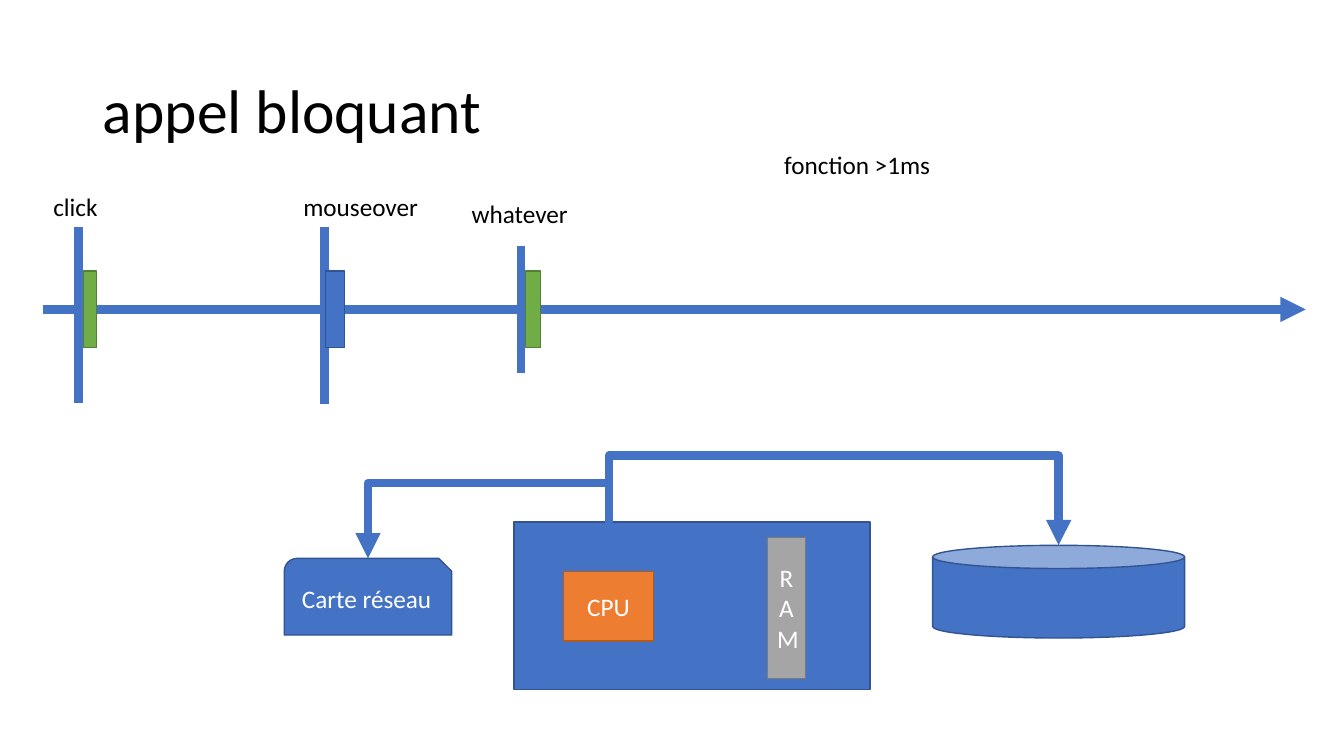
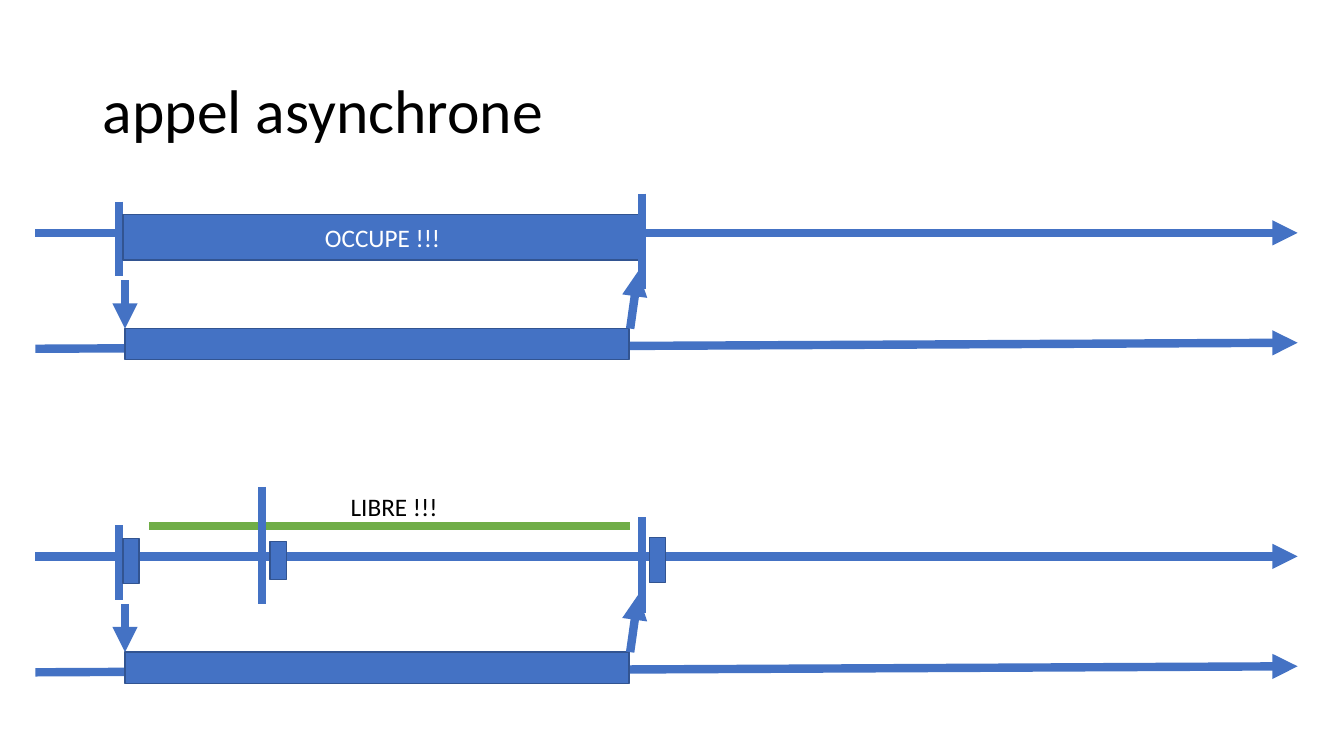
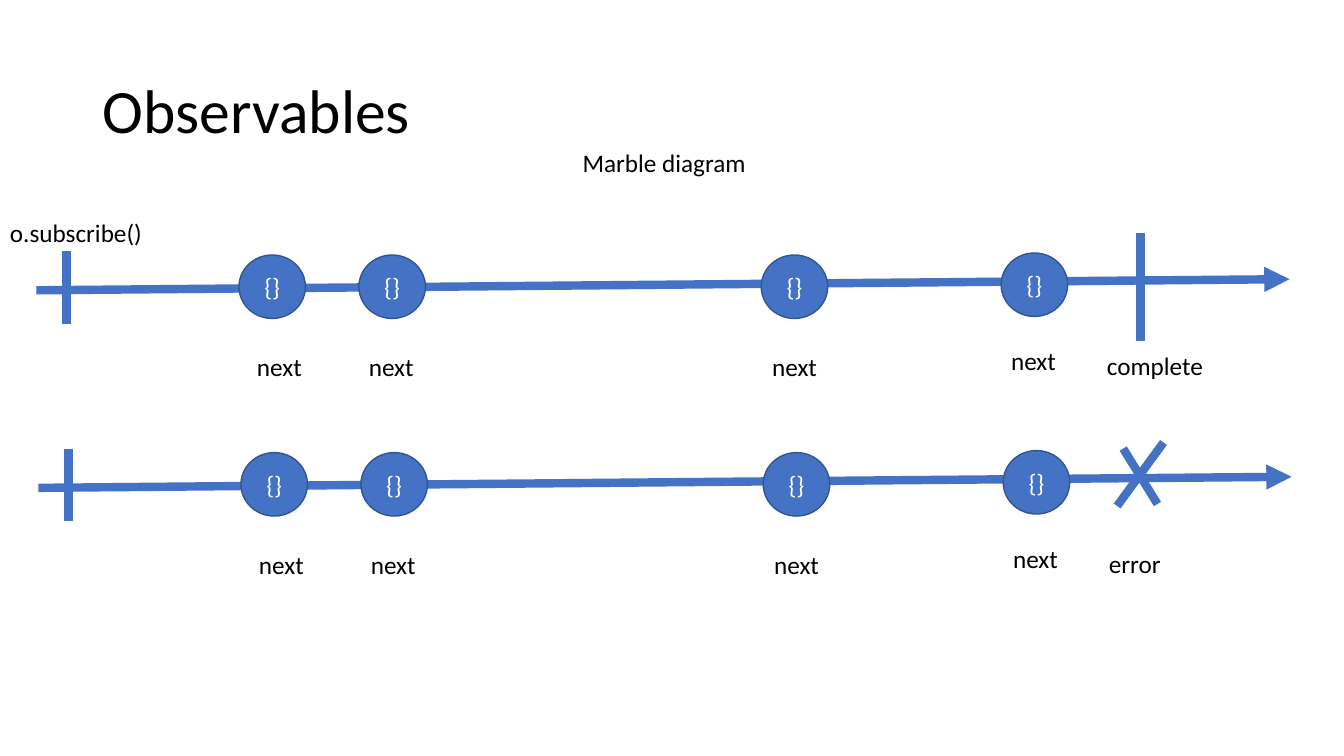
from dataclasses import dataclass

from lxml.etree import SubElement
from pptx import Presentation
from pptx.dml.color import RGBColor
from pptx.enum.shapes import MSO_CONNECTOR, MSO_SHAPE
from pptx.enum.text import MSO_ANCHOR, MSO_AUTO_SIZE, PP_ALIGN
from pptx.oxml.ns import qn
from pptx.util import Pt

PX = 9144  # 100 px to the inch


@dataclass(frozen=True)
class Theme:
    font: str = "Calibri"
    title_size: int = 44
    text_size: int = 18
    black: str = "000000"
    white: str = "FFFFFF"
    blue: str = "4472C4"
    green: str = "70AD47"
    orange: str = "ED7D31"
    grey: str = "A5A5A5"
    edge_width: int = 1
    line_width: int = 6


THEME = Theme()
EDGES = {THEME.blue: "325491", THEME.green: "538035",
         THEME.orange: "AF5C24", THEME.grey: "7A7A7A"}


def box(slide, at, text="", kind="label", fill=THEME.blue, size=THEME.text_size):
    """Place a title, a free label or a filled preset shape, with its text."""
    bounds = [n * PX for n in at]
    if kind == "title":
        part = slide.shapes.title
        part.left, part.top, part.width, part.height = bounds
    elif kind == "label":
        part = slide.shapes.add_textbox(*bounds)
    else:
        part = slide.shapes.add_shape(kind, *bounds)
        part.shadow.inherit = False
        part.fill.solid()
        part.fill.fore_color.rgb = RGBColor.from_string(fill)
        part.line.color.rgb = RGBColor.from_string(EDGES[fill])
        part.line.width = Pt(THEME.edge_width)
    if not text:
        return part

    plain = kind in ("title", "label")
    frame = part.text_frame
    frame.text = text
    frame.word_wrap = kind != "label"
    if kind == "label":
        frame.auto_size = MSO_AUTO_SIZE.SHAPE_TO_FIT_TEXT
    else:
        frame.vertical_anchor = MSO_ANCHOR.MIDDLE
    paragraph = frame.paragraphs[0]
    paragraph.alignment = PP_ALIGN.LEFT if plain else PP_ALIGN.CENTER
    if kind == "title":
        paragraph.line_spacing = 0.9
    font = paragraph.runs[0].font
    font.name, font.size = THEME.font, Pt(size)
    font.color.rgb = RGBColor.from_string(THEME.black if plain else THEME.white)
    return part


def line(slide, x1, y1, x2, y2, color=THEME.blue, ends=(), kind=MSO_CONNECTOR.STRAIGHT):
    """Draw a thick line; ends lists the XML names of the ends with an arrowhead."""
    connector = slide.shapes.add_connector(kind, x1 * PX, y1 * PX, x2 * PX, y2 * PX)
    connector.line.color.rgb = RGBColor.from_string(color)
    connector.line.width = Pt(THEME.line_width)
    properties = connector.element.spPr
    for end in ends:
        SubElement(properties.find(qn("a:ln")), qn(f"a:{end}"), type="triangle")
    SubElement(properties, qn("a:effectLst"))
    return connector


ARROW = ("tailEnd",)
BOTH_ARROWS = ("headEnd", "tailEnd")

deck = Presentation()
deck.slide_width, deck.slide_height = 1333 * PX, 750 * PX
slides = []
for heading in ("appel bloquant", "appel asynchrone", "Observables"):
    slide = deck.slides.add_slide(deck.slide_layouts[5])
    box(slide, (92, 40, 1150, 145), heading, kind="title", size=THEME.title_size)
    slides.append(slide)
blocking, asynchronous, observables = slides

# Blocking call: events on a timeline
line(blocking, 43, 307, 1295, 307, ends=ARROW)
for event, label_at, x, top, bottom, task_x, task_width, color in (
    ("click", (43, 185, 65, 40), 78, 225, 400, 83, 13, THEME.green),
    ("whatever", (458, 192, 117, 40), 517, 244, 370, 521, 15, THEME.green),
    ("mouseover", (291, 185, 135, 40), 322, 225, 401, 323, 19, THEME.blue),
):
    line(blocking, x, top, x, bottom)
    box(blocking, label_at, event)
    box(blocking, (task_x, 269, task_width, 76), kind=MSO_SHAPE.RECTANGLE, fill=color)
box(blocking, (768, 143, 167, 40), "fonction >1ms")

# Blocking call: hardware
box(blocking, (510, 518, 353, 166), kind=MSO_SHAPE.RECTANGLE)
cpu = box(blocking, (559, 567, 89, 69), "CPU", kind=MSO_SHAPE.RECTANGLE, fill=THEME.orange)
box(blocking, (761, 533, 38, 140), "RAM", kind=MSO_SHAPE.RECTANGLE, fill=THEME.grey)
disk = box(blocking, (925, 541, 250, 92), kind=MSO_SHAPE.CAN)
network = box(blocking, (282, 554, 166, 76), "Carte réseau", kind=MSO_SHAPE.SNIP_ROUND_RECTANGLE)

# Each elbow leaves the CPU upwards, runs level at level_y and drops on its target
cpu_x, cpu_y = 604, 567
for target, top_site, x, y, level_y, turn, mirrored in (
    (disk, 1, 1050, 541, 452, 90, True),
    (network, 3, 365, 554, 479, 270, False),
):
    elbow = line(blocking, cpu_x, cpu_y, x, y, ends=BOTH_ARROWS, kind=MSO_CONNECTOR.ELBOW)
    elbow.begin_connect(cpu, 0)
    elbow.end_connect(target, top_site)
    width, height = cpu_y - y, abs(x - cpu_x)
    elbow.left = round(((cpu_x + x - width) / 2) * PX)
    elbow.top = round(((cpu_y + y - height) / 2) * PX)
    elbow.width, elbow.height = width * PX, height * PX
    properties = elbow.element.spPr
    frame = properties.find(qn("a:xfrm"))
    frame.set("rot", str(turn * 60000))
    frame.set("flipH", str(int(mirrored)))
    frame.set("flipV", "1")
    bend = round((cpu_y - level_y) / width * 100000)
    guides = properties.find(qn("a:prstGeom")).find(qn("a:avLst"))
    SubElement(guides, qn("a:gd"), name="adj1", fmla=f"val {bend}")

# Asynchronous call: a busy and a free main thread, each above its worker
for down, task_width, status in ((0, 515, "OCCUPE !!!"), (321, 16, "")):
    line(asynchronous, 35, 231 + down, 1287, 231 + down, ends=ARROW)
    line(asynchronous, 118, 200 + down, 118, 274 + down)
    box(asynchronous, (122, 213 + down, task_width, 45), status, kind=MSO_SHAPE.RECTANGLE)
    line(asynchronous, 637, 192 + down, 637, 287 + down)
    line(asynchronous, 124, 278 + down, 124, 326 + down, ends=ARROW)
    line(asynchronous, 35, 346 + down, 1287, 340 + down, ends=ARROW)
    box(asynchronous, (124, 326 + down, 500, 31), kind=MSO_SHAPE.RECTANGLE)
    line(asynchronous, 625, 326 + down, 633, 269 + down, ends=ARROW)
box(asynchronous, (644, 533, 16, 45), kind=MSO_SHAPE.RECTANGLE)
line(asynchronous, 148, 522, 625, 522, color=THEME.green)
box(asynchronous, (338, 483, 107, 40), "LIBRE !!!")
line(asynchronous, 260, 483, 260, 599)
box(asynchronous, (268, 537, 16, 38), kind=MSO_SHAPE.RECTANGLE)

# Observables: two marble timelines
for right, down, outcome, outcome_width in ((0, 0, "complete", 117), (2, 196, "error", 72)):
    line(observables, 36 + right, 288 + down, 1279 + right, 277 + down, ends=ARROW)
    line(observables, 66 + right, 249 + down, 66 + right, 321 + down)
    for marble_x, label_x, lift in ((237, 245, 0), (356, 356, 0), (755, 756, 0), (993, 993, 1)):
        box(observables, (marble_x + right, 253 + down - 2 * lift, 66, 63), "{}",
            kind=MSO_SHAPE.OVAL)
        box(observables, (label_x + right, 344 + down - 6 * lift, 65, 40), "next")
    box(observables, (1088 + right, 343 + down, outcome_width, 40), outcome)
box(observables, (0, 211, 153, 40), "o.subscribe()")
box(observables, (568, 141, 184, 40), "Marble diagram")
for stroke in ((1131, 231, 1131, 338), (1114, 445, 1148, 500), (1154, 439, 1108, 502)):
    line(observables, *stroke)

deck.save("out.pptx")
